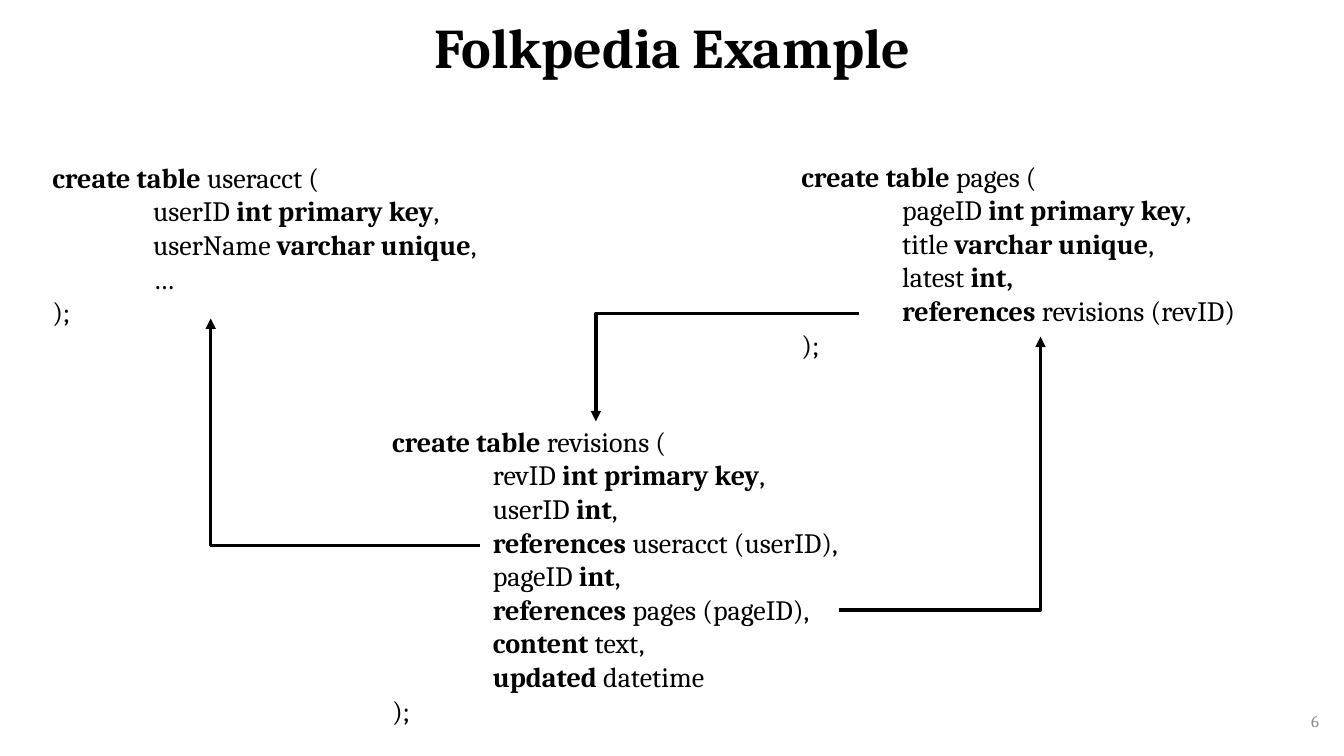
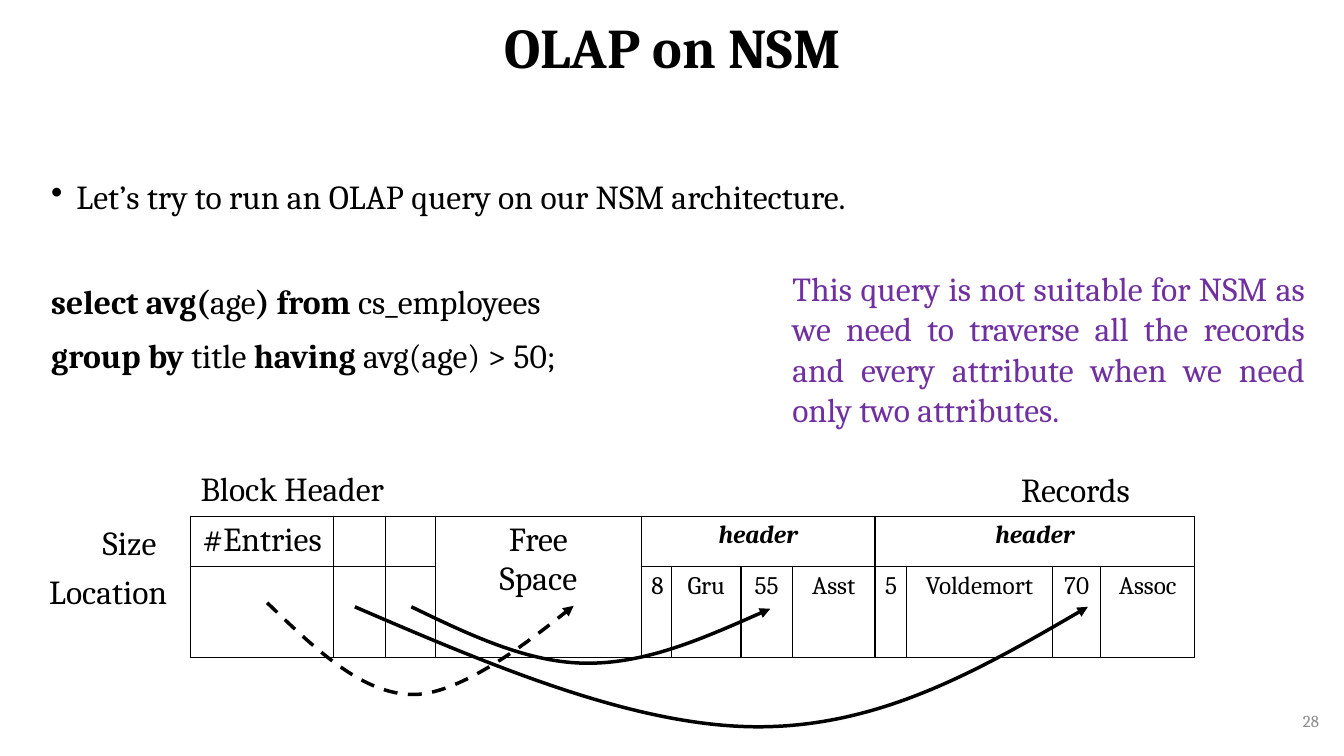
import pptx
import pptx.dml.color
import pptx.enum.dml
import pptx.enum.shapes
import pptx.enum.text
import pptx.oxml
import pptx.oxml.ns
import pptx.util
import lxml.etree

Inches = pptx.util.Inches
Pt = pptx.util.Pt
Align = pptx.enum.text.PP_ALIGN
Anchor = pptx.enum.text.MSO_ANCHOR
qn = pptx.oxml.ns.qn

FONT = "Cambria"
BLACK = "000000"
GREY = "8C8C8C"
PURPLE = "7030A0"


def color(value):
    return pptx.dml.color.RGBColor.from_string(value)


def set_values(target, values):
    for name, value in values.items():
        setattr(target, name, value)


def add_child(parent, tag, **attributes):
    return lxml.etree.SubElement(parent, qn(tag), attributes)


class Deck:
    def __init__(self):
        self.presentation = pptx.Presentation()
        self.presentation.slide_width = Inches(13.33)
        self.presentation.slide_height = Inches(7.5)
        self.slide = None

    def add_slide(self, title, number):
        self.slide = self.presentation.slides.add_slide(self.presentation.slide_layouts[6])
        self.text(0.92, 0, 11.5, 0.99, [f"**{title}**"], size=40, anchor=Anchor.MIDDLE,
                  alignment=Align.CENTER, line_spacing=0.9)
        self.text(10.18, 6.95, 3, 0.4, [str(number)], size=12, fill=GREY,
                  anchor=Anchor.MIDDLE, alignment=Align.RIGHT)

    def fill_paragraph(self, paragraph, text, size, fill=BLACK, italic=False, **layout):
        set_values(paragraph, layout)
        for index, part in enumerate(text.split("**")):
            if part:
                run = paragraph.add_run()
                run.text = part
                set_values(run.font, {"name": FONT, "size": Pt(size),
                                      "bold": index % 2 == 1, "italic": italic})
                run.font.color.rgb = color(fill)

    def fill_frame(self, frame, lines, size, **style):
        for index, line in enumerate(lines):
            paragraph = frame.add_paragraph() if index else frame.paragraphs[0]
            self.fill_paragraph(paragraph, line, size, **style)

    def text(self, left, top, width, height, lines, size=24, anchor=Anchor.TOP, wrap=True, **style):
        box = self.slide.shapes.add_textbox(Inches(left), Inches(top), Inches(width), Inches(height))
        frame = box.text_frame
        set_values(frame, {"word_wrap": wrap, "vertical_anchor": anchor})
        self.fill_frame(frame, lines, size, **style)
        return frame

    def label(self, left, top, width, text):
        frame = self.text(left, top, width, 0.5, [text], wrap=False)
        frame.auto_size = pptx.enum.text.MSO_AUTO_SIZE.SHAPE_TO_FIT_TEXT

    def indent(self, paragraph, left, first=0, bullet=None):
        properties = paragraph._p.get_or_add_pPr()
        properties.set("marL", str(Inches(left)))
        properties.set("indent", str(Inches(first)))
        if bullet:
            add_child(properties, "a:buChar", char=bullet)

    def create_table_code(self, left, top, width, height, name, columns):
        lines = [f"**create table **{name} (", *columns, ");"]
        frame = self.text(left, top, width, height, lines, size=20)
        for paragraph in frame.paragraphs[1:-1]:
            self.indent(paragraph, 1)

    def arrow_line(self, shape, dashed=False):
        shape.line.width = Pt(2.5)
        shape.line.color.rgb = color(BLACK)
        if dashed:
            shape.line.dash_style = pptx.enum.dml.MSO_LINE.DASH
        add_child(shape._element.spPr.find(qn("a:ln")), "a:tailEnd", type="triangle")

    def corner_arrow(self, start, end):
        points = [Inches(value) for value in start + end]
        connector = self.slide.shapes.add_connector(pptx.enum.shapes.MSO_CONNECTOR.ELBOW, *points)
        self.arrow_line(connector)
        properties = connector._element.spPr
        guides = properties.find(qn("a:prstGeom")).find(qn("a:avLst"))
        add_child(guides, "a:gd", name="adj1", fmla="val 100000")
        add_child(properties, "a:effectLst")

    def curved_arrow(self, points, dashed=False):
        places = [(Inches(x), Inches(y)) for x, y in points]
        builder = self.slide.shapes.build_freeform(*places[0])
        builder.add_line_segments(places[1:], close=False)
        shape = builder.convert_to_shape()
        shape.fill.background()
        shape.shadow.inherit = False
        outline = shape._element.spPr.find(".//" + qn("a:path"))
        segments = outline.findall(qn("a:lnTo"))
        for index, segment in enumerate(segments):
            if index % 3 == 0:
                curve = add_child(outline, "a:cubicBezTo")
            curve.append(segment[0])
            outline.remove(segment)
        self.arrow_line(shape, dashed)

    def border(self, cell):
        properties = cell._tc.get_or_add_tcPr()
        for side in "LRTB":
            line = add_child(properties, f"a:ln{side}", w=str(Pt(1)))
            add_child(add_child(line, "a:solidFill"), "a:srgbClr", val=BLACK)
        cell.fill.background()

    def table(self, left, top, widths, heights, merges, entries):
        table = self.slide.shapes.add_table(
            len(heights), len(widths), Inches(left), Inches(top),
            Inches(sum(widths)), Inches(sum(heights))).table
        set_values(table, {"first_row": False, "horz_banding": False})
        for column, width in zip(table.columns, widths):
            column.width = Inches(width)
        for row, height in zip(table.rows, heights):
            row.height = Inches(height)
        for cell in table.iter_cells():
            self.border(cell)
        for first, last in merges:
            table.cell(*first).merge(table.cell(*last))
        for place, (lines, size, italic) in entries.items():
            self.fill_frame(table.cell(*place).text_frame, lines, size,
                            italic=italic, alignment=Align.CENTER)


def schema_slide(deck):
    deck.add_slide("Folkpedia Example", 6)
    deck.create_table_code(0.42, 1.54, 4.62, 2.64, "useracct", [
        "userID **int primary key**,",
        "userName **varchar unique**,",
        "…",
    ])
    deck.create_table_code(7.85, 1.53, 5.33, 2.64, "pages", [
        "pageID **int primary key**,",
        "title **varchar unique**,",
        "latest **int,**",
        "**references** revisions (revID)",
    ])
    deck.create_table_code(3.79, 4.16, 5.33, 3.34, "revisions", [
        "revID **int primary key**,",
        "userID **int**,",
        "**references **useracct (userID),",
        "pageID **int**,",
        "**references** pages (pageID),",
        "**content** text,",
        "**updated** datetime",
    ])
    deck.corner_arrow((8.52, 3.11), (5.91, 4.18))
    deck.corner_arrow((4.76, 5.41), (2.09, 3.16))
    deck.corner_arrow((8.32, 6.05), (10.32, 3.34))


def storage_slide(deck):
    deck.add_slide("OLAP on NSM", 28)
    query = deck.text(0.41, 1.74, 12.92, 4.8, [
        "Let’s try to run an OLAP query on our NSM architecture.",
        "**select avg(**age**) from **cs_employees",
        "**group by **title **having** avg(age) > 50;",
    ], alignment=Align.JUSTIFY, space_before=Pt(10))
    intro, select, group = query.paragraphs
    intro.line_spacing = 0.9
    deck.indent(intro, 0.25, -0.25, "•")
    select.space_before = Pt(46)

    entries = {(0, 0): (["#Entries"], 24, False), (0, 3): (["Free", "Space"], 24, False)}
    for column in (4, 8):
        entries[0, column] = (["**header**"], 18, True)
    values = ["8", "Gru", "55", "Asst", "5", "Voldemort", "70", "Assoc"]
    for column, value in enumerate(values, 4):
        entries[1, column] = ([value], 18, False)
    deck.table(1.89, 5.12,
               [1.42, 0.51, 0.5, 2.04, 0.3, 0.69, 0.51, 0.82, 0.31, 1.45, 0.48, 0.93],
               [0.48, 0.87],
               [((0, 3), (1, 3)), ((0, 4), (0, 7)), ((0, 8), (0, 11))], entries)

    deck.curved_arrow([(2.65, 5.98), (3.12, 6.43), (3.59, 6.89), (4.1, 6.89),
                       (4.61, 6.89), (5.69, 6.01), (5.69, 6.01)], dashed=True)
    deck.label(10.03, 4.6, 1.4, "Records")
    deck.label(0.92, 5.13, 0.81, "Size")
    deck.label(1.89, 4.59, 2.22, "Block Header")
    deck.label(0.39, 5.61, 1.5, "Location")
    deck.curved_arrow([(3.52, 6.02), (4.91, 6.62), (6.31, 7.21), (7.52, 7.21),
                       (8.73, 7.21), (9.76, 6.62), (10.79, 6.02)])
    deck.curved_arrow([(4.08, 6.02), (4.66, 6.3), (5.24, 6.58), (5.83, 6.58),
                       (6.42, 6.58), (7.03, 6.31), (7.64, 6.04)])
    deck.text(7.76, 2.61, 5.28, 1.72, [
        "This query is not suitable for NSM as we need to traverse all the records "
        "and every attribute when we need only two attributes.",
    ], fill=PURPLE, alignment=Align.JUSTIFY)


def main():
    deck = Deck()
    schema_slide(deck)
    storage_slide(deck)
    deck.presentation.save("out.pptx")


if __name__ == "__main__":
    main()
